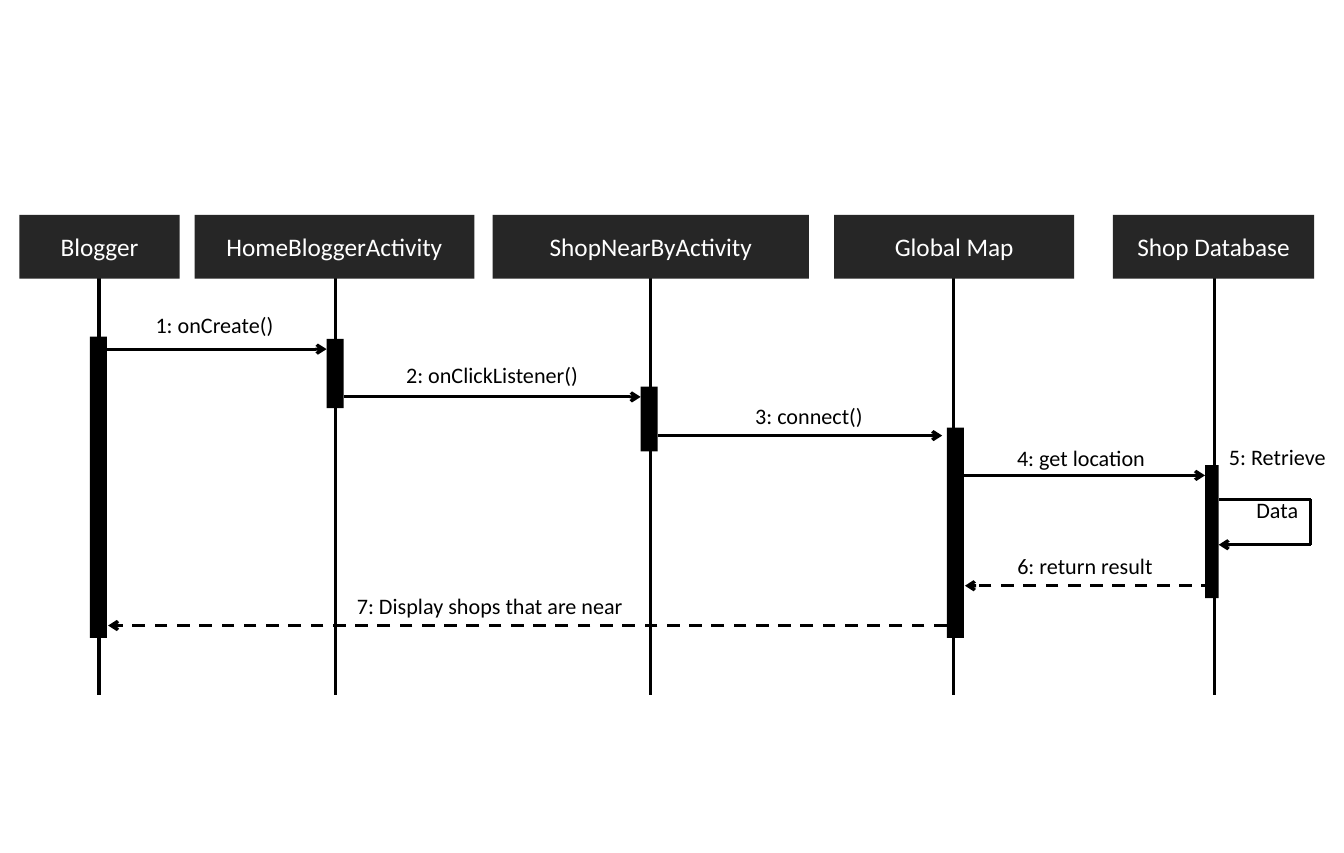
"""Build a sequence diagram of finding shops near a blogger."""
import pptx
import pptx.util
import pptx.dml.color
import pptx.enum.dml
import pptx.enum.shapes
import pptx.enum.text
import pptx.oxml.ns
from lxml import etree

Inches = pptx.util.Inches
Pt = pptx.util.Pt
BLACK = pptx.dml.color.RGBColor(0x00, 0x00, 0x00)
WHITE = pptx.dml.color.RGBColor(0xFF, 0xFF, 0xFF)
CHARCOAL = pptx.dml.color.RGBColor(0x26, 0x26, 0x26)

HEAD_TOP, HEAD_HEIGHT = 1.89, 0.56
LIFE_TOP, LIFE_BOTTOM = 2.44, 6.11

prs = pptx.Presentation()
prs.slide_width = pptx.util.Cm(30)
prs.slide_height = Inches(7.5)
s = prs.slides.add_slide(prs.slide_layouts[6])


def add_line(x1, y1, x2, y2, arrow=False, dashed=False):
    line = s.shapes.add_connector(
        pptx.enum.shapes.MSO_CONNECTOR.STRAIGHT,
        Inches(x1), Inches(y1), Inches(x2), Inches(y2))
    line.line.color.rgb = BLACK
    line.line.width = Pt(2)
    if dashed:
        line.line.dash_style = pptx.enum.dml.MSO_LINE.DASH
    if arrow:
        ln = line.line._get_or_add_ln()
        etree.SubElement(ln, pptx.oxml.ns.qn("a:tailEnd"), type="arrow")
    etree.SubElement(line._element.spPr, pptx.oxml.ns.qn("a:effectLst"))


def add_box(x, y, width, height, color):
    sp = s.shapes.add_shape(
        pptx.enum.shapes.MSO_SHAPE.RECTANGLE,
        Inches(x), Inches(y), Inches(width), Inches(height))
    sp.shadow.inherit = False
    sp.fill.solid()
    sp.fill.fore_color.rgb = color
    sp.line.fill.background()
    return sp


participants = [
    ("Blogger", 0.17, 1.41, 0.87),
    ("HomeBloggerActivity", 1.71, 2.46, 2.95),
    ("ShopNearByActivity", 4.33, 2.78, 5.72),
    ("Global Map", 7.33, 2.11, 8.38),
    ("Shop Database", 9.78, 1.77, 10.67),
]
for name, left, width, life_x in participants:
    add_line(life_x, LIFE_TOP, life_x, LIFE_BOTTOM)
    sp = add_box(left, HEAD_TOP, width, HEAD_HEIGHT, CHARCOAL)
    tf = sp.text_frame
    tf.vertical_anchor = pptx.enum.text.MSO_ANCHOR.MIDDLE
    p = tf.paragraphs[0]
    p.alignment = pptx.enum.text.PP_ALIGN.CENTER
    r = p.add_run()
    r.text = name
    r.font.size = Pt(16)
    r.font.name = "Calibri"
    r.font.color.rgb = WHITE

messages = [
    (0.87, 2.87, 3.07, False),
    (3.02, 5.63, 3.49, False),
    (5.78, 8.28, 3.83, False),
    (8.47, 10.59, 4.18, False),
    (10.67, 8.48, 5.15, True),
    (8.32, 0.95, 5.5, True),
]
for start, end, y, dashed in messages:
    add_line(start, y, end, y, arrow=True, dashed=dashed)

add_line(11.52, 4.39, 10.71, 4.39)
add_line(11.52, 4.79, 11.52, 4.39)
add_line(11.52, 4.79, 10.71, 4.79, arrow=True)

activations = [
    (0.79, 2.96, 0.15, 2.65),
    (2.87, 2.98, 0.15, 0.61),
    (5.63, 3.4, 0.15, 0.57),
    (8.32, 3.76, 0.15, 1.85),
    (10.59, 4.09, 0.12, 1.17),
]
for left, top, width, height in activations:
    add_box(left, top, width, height, BLACK)

labels = [
    (["1: onCreate()"], 1.26, 2.69, 1.25, 0.34),
    (["2: onClickListener()"], 3.46, 3.13, 1.73, 0.34),
    (["3: connect()"], 6.28, 3.49, 1.66, 0.34),
    (["4: get location"], 8.67, 3.86, 1.66, 0.34),
    (["5: Retrieve", "Data"], 10.69, 3.85, 1.07, 0.57),
    (["6: return result"], 8.83, 4.81, 1.41, 0.34),
    (["7: Display shops that are near"], 3.02, 5.16, 2.57, 0.34),
]
for lines, left, top, width, height in labels:
    tf = s.shapes.add_textbox(
        Inches(left), Inches(top), Inches(width), Inches(height)).text_frame
    tf.word_wrap = False
    for i, text in enumerate(lines):
        p = tf.add_paragraph() if i else tf.paragraphs[0]
        p.alignment = pptx.enum.text.PP_ALIGN.CENTER
        if i:
            p.space_before = Pt(17)
        r = p.add_run()
        r.text = text
        r.font.size = Pt(14)
        r.font.name = "Calibri"
        r.font.color.rgb = BLACK

prs.save("out.pptx")
